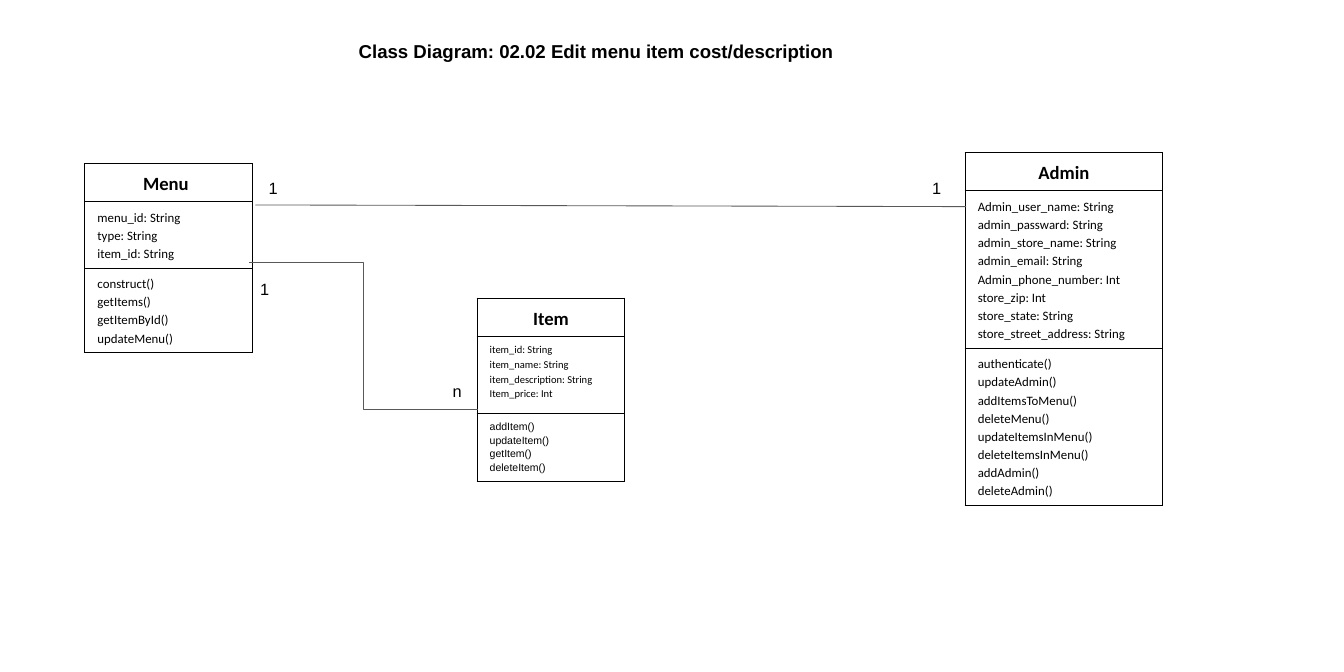
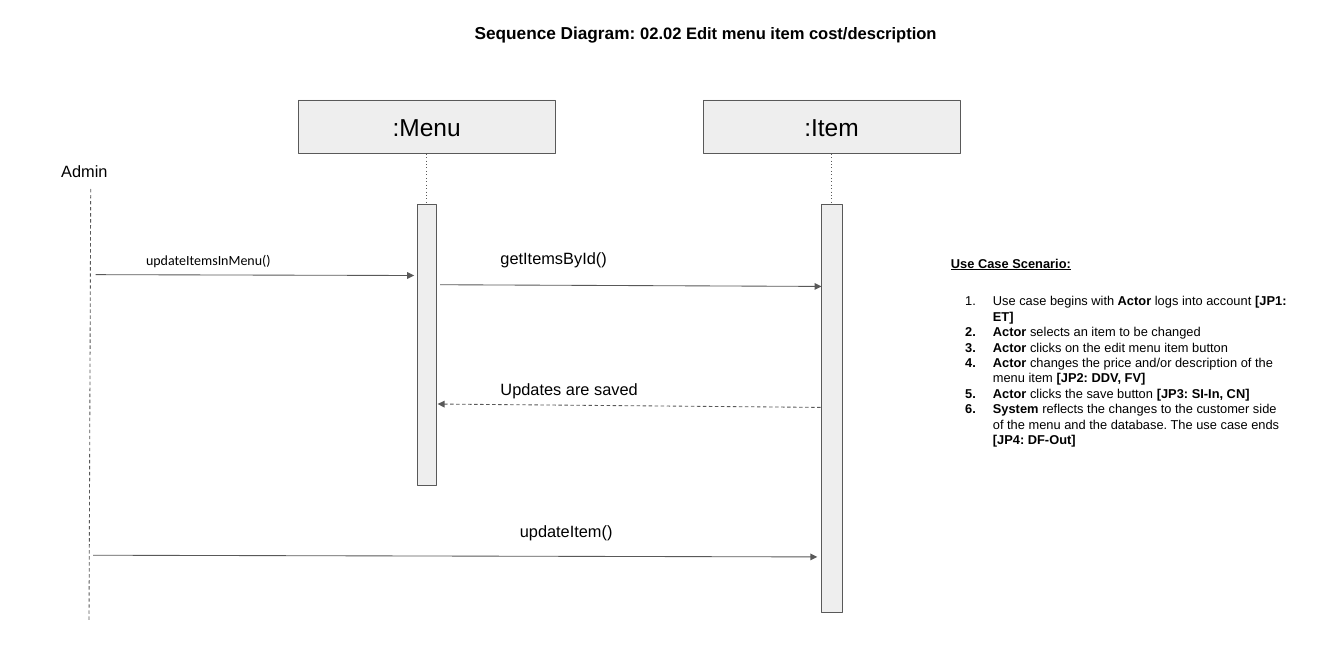
from lxml.etree import SubElement
from pptx import Presentation
from pptx.dml.color import RGBColor
from pptx.enum.shapes import MSO_CONNECTOR, MSO_SHAPE
from pptx.enum.text import MSO_ANCHOR, MSO_AUTO_SIZE, PP_ALIGN
from pptx.oxml.ns import qn
from pptx.util import Emu, Pt

PX = 9144  # EMU per px, 100 px to the inch


class Theme:
    ink = RGBColor(0x00, 0x00, 0x00)
    line = RGBColor(0x59, 0x59, 0x59)
    panel = RGBColor(0xEE, 0xEE, 0xEE)
    sans, table_font, accent_font = "Arial", "Calibri", "Comfortaa"
    title, lifeline, label, message, body, small = 16, 21, 14, 12, 11, 9
    hairline, border = Pt(0.75), Pt(1)


# ---- Content: class diagram ----
CLASS_TITLE = ["Class Diagram: 02.02 Edit menu item cost/description"]
BLANK_END = (" ", dict(font=Theme.accent_font, size=17, bold=False))
CLASSES = [
    dict(name=["Menu", BLANK_END], at=(101, 195), width=200, rows=(25, 44, 91),
         size=Theme.body, method_font=Theme.table_font,
         fields=["menu_id: String", "type: String", "item_id: String"],
         methods=["construct()", "getItems()", "getItemById()", "updateMenu()"]),
    dict(name=["Item"], at=(568, 355), width=176, rows=(38, 92, 81),
         size=Theme.small, method_font=Theme.sans,
         fields=["item_id: String", "item_name: String",
                 "item_description: String", "Item_price: Int"],
         methods=["addItem()", "updateItem()", "getItem()", "deleteItem()"]),
    dict(name=["Admin"], at=(1149, 182), width=235, rows=(37, 178, 120),
         size=Theme.body, method_font=Theme.table_font,
         fields=["Admin_user_name: String", "admin_passward: String",
                 "admin_store_name: String", "admin_email: String",
                 "Admin_phone_number: Int", "store_zip: Int",
                 "store_state: String", "store_street_address: String"],
         methods=["authenticate()", "updateAdmin()", "addItemsToMenu()",
                  "deleteMenu()", "updateItemsInMenu()", "deleteItemsInMenu()",
                  "addAdmin()", "deleteAdmin()"]),
]
ASSOCIATIONS = [  # start, end, kind
    ((304, 244), (1150, 246), MSO_CONNECTOR.STRAIGHT),
    ((297, 313), (569, 487), MSO_CONNECTOR.ELBOW),
]
MULTIPLICITIES = [("1", 310, 202), ("1", 1100, 202), ("1", 300, 322), ("n", 529, 444)]

# ---- Content: sequence diagram ----
SEQUENCE_TITLE = [("Sequence Diagram: ", dict(size=14.8)),
                  ("02.02 Edit menu item cost/description", dict(size=14.2))]
HEAD_TOP, HEAD_WIDTH, HEAD_HEIGHT, BAR_TOP = 119, 306, 64, 243
LIFELINES = [  # name, centre, bar width, bar height
    (":Menu", 508, 22, 335),
    (":Item", 990, 25, 486),
]
ACTOR_LINE = ((108, 225), (106, 738))
MESSAGES = [  # start, end, dash
    ((114, 327), (493, 328), None),
    ((524, 339), (978, 341), None),
    ((111, 661), (973, 663), None),
    ((977, 485), (521, 481), "dash"),
]
MESSAGE_LABELS = [  # text, left, top, width, format
    ("Admin", 63, 182, 91, {}),
    ("updateItemsInMenu()", 164, 286, 191,
     dict(font=Theme.table_font, size=Theme.message, spacing=1.15)),
    ("getItemsById()", 586, 285, 191, {}),
    ("updateItem()", 609, 611, 191, {}),
    ("Updates are saved", 586, 442, 205, {}),
]
BOLD = dict(bold=True)
SCENARIO_HEADING = [("Use Case Scenario:", dict(bold=True, underline=True))]
ACTOR = ("Actor", BOLD)
SCENARIO_STEPS = [
    ["Use case begins with", (" Actor", BOLD), " logs into account ",
     ("[JP1: ET]", BOLD)],
    [ACTOR, " selects an item to be changed"],
    [ACTOR, " clicks on the edit menu item button"],
    [ACTOR, " changes the price and/or description of the menu item ",
     ("[JP2: DDV, FV]", BOLD)],
    [ACTOR, " clicks the save button ", ("[JP3: SI-In, CN]", BOLD)],
    [("System", BOLD), " reflects the changes to the customer side of the menu "
     "and the database. The use case ends ", ("[JP4: DF-Out]", BOLD)],
]


# ---- Helpers ----
def px(*lengths):
    return [Emu(round(length * PX)) for length in lengths]


def write_text(frame, paragraphs, font=Theme.sans, size=Theme.label, bold=False,
               align=PP_ALIGN.LEFT, spacing=1.0):
    """Each paragraph is a list of runs: plain text or (text, overrides)."""
    for index, runs in enumerate(paragraphs):
        paragraph = frame.add_paragraph() if index else frame.paragraphs[0]
        paragraph.alignment = align
        paragraph.line_spacing = spacing
        paragraph.space_before = Pt(0)
        for item in runs:
            text, changes = (item, {}) if isinstance(item, str) else item
            look = dict(font=font, size=size, bold=bold, underline=False) | changes
            run = paragraph.add_run()
            run.text = text
            run.font.name = look["font"]
            run.font.size = Pt(look["size"])
            run.font.bold = look["bold"]
            run.font.underline = look["underline"]
            run.font.color.rgb = Theme.ink


def set_frame(frame, inset, anchor=MSO_ANCHOR.TOP):
    frame.word_wrap = True
    frame.auto_size = MSO_AUTO_SIZE.NONE
    frame.vertical_anchor = anchor
    (frame.margin_left, frame.margin_top,
     frame.margin_right, frame.margin_bottom) = px(*[inset] * 4)


def place(shape, left, top, width, height):
    shape.left, shape.top, shape.width, shape.height = px(left, top, width, height)


def add_titled_slide(presentation, layout, runs, box, inset):
    slide = presentation.slides.add_slide(presentation.slide_layouts[layout])
    title = slide.shapes.title
    place(title, *box)
    set_frame(title.text_frame, inset)
    write_text(title.text_frame, [runs], size=Theme.title, bold=True,
               spacing=0.9 if inset > 10 else 1.0)
    return slide


def add_label(slide, text, left, top, width, height=44, **look):
    label = slide.shapes.add_textbox(*px(left, top, width, height))
    set_frame(label.text_frame, 10)
    write_text(label.text_frame, [[text]], **look)


def add_line(slide, start, end, kind=MSO_CONNECTOR.STRAIGHT, dash=None, arrow=False):
    connector = slide.shapes.add_connector(kind, *px(*start, *end))
    connector.line.color.rgb = Theme.line
    connector.line.width = Theme.hairline
    properties = connector._element.spPr
    outline = properties.find(qn("a:ln"))
    if dash:
        SubElement(outline, qn("a:prstDash"), val=dash)
    if arrow:
        SubElement(outline, qn("a:tailEnd"), type="triangle")
    SubElement(properties, qn("a:effectLst"))
    return connector


def add_panel(slide, left, top, width, height):
    panel = slide.shapes.add_shape(MSO_SHAPE.RECTANGLE, *px(left, top, width, height))
    panel.shadow.inherit = False
    panel.fill.solid()
    panel.fill.fore_color.rgb = Theme.panel
    panel.line.color.rgb = Theme.line
    panel.line.width = Theme.hairline
    return panel


def style_cell(cell):
    cell.margin_left, cell.margin_right = px(15, 15)
    cell.margin_top, cell.margin_bottom = px(7, 7)
    properties = cell._tc.get_or_add_tcPr()
    for side in ("lnL", "lnR", "lnT", "lnB"):
        border = SubElement(properties, qn(f"a:{side}"), w=str(Theme.border))
        fill = SubElement(border, qn("a:solidFill"))
        SubElement(fill, qn("a:srgbClr"), val=str(Theme.ink))
    cell.fill.background()


def add_class(slide, box):
    heights = box["rows"]
    frame = slide.shapes.add_table(
        len(heights), 1, *px(*box["at"], box["width"], sum(heights)))
    table = frame.table
    table.first_row = table.horz_banding = False
    plain = dict(font=Theme.table_font, size=box["size"])
    parts = [
        ([box["name"]], dict(font=Theme.table_font, size=Theme.title, bold=True,
                             align=PP_ALIGN.CENTER)),
        ([[field] for field in box["fields"]], plain),
        ([[method] for method in box["methods"]], plain | {"font": box["method_font"]}),
    ]
    for index, (paragraphs, look) in enumerate(parts):
        table.rows[index].height = px(heights[index])[0]
        cell = table.cell(index, 0)
        style_cell(cell)
        write_text(cell.text_frame, paragraphs, spacing=1.15, **look)


def add_lifeline(slide, name, centre, bar_width, bar_height):
    head = add_panel(slide, centre - HEAD_WIDTH / 2, HEAD_TOP, HEAD_WIDTH, HEAD_HEIGHT)
    set_frame(head.text_frame, 15, MSO_ANCHOR.MIDDLE)
    write_text(head.text_frame, [[name]], size=Theme.lifeline, align=PP_ALIGN.CENTER)
    bar = add_panel(slide, centre - bar_width / 2, BAR_TOP, bar_width, bar_height)
    stem = add_line(slide, (centre, HEAD_TOP + HEAD_HEIGHT), (centre, BAR_TOP),
                    dash="dot")
    stem.begin_connect(head, 2)
    stem.end_connect(bar, 0)


def add_scenario(slide):
    body = slide.placeholders[1]
    place(body, 1122, 294, 423, 251)
    frame = body.text_frame
    set_frame(frame, 10)
    write_text(frame, [SCENARIO_HEADING, *SCENARIO_STEPS], size=Theme.body)
    heading, *steps = frame.paragraphs
    steps[0].space_before = Pt(19)
    for paragraph in frame.paragraphs:
        properties = paragraph._p.get_or_add_pPr()
        numbered = paragraph._p is not heading._p
        indent, hanging = px(50, -33) if numbered else (0, 0)
        properties.set("marL", str(int(indent)))
        properties.set("indent", str(int(hanging)))
        if numbered:
            SubElement(properties, qn("a:buAutoNum"), type="arabicPeriod")
        else:
            SubElement(properties, qn("a:buNone"))


# ---- Slides ----
def build_class_diagram(presentation):
    slide = add_titled_slide(presentation, 5, CLASS_TITLE, (417, 37, 639, 47), 10)
    for box in CLASSES:
        add_class(slide, box)
    for start, end, kind in ASSOCIATIONS:
        add_line(slide, start, end, kind)
    for text, left, top in MULTIPLICITIES:
        add_label(slide, text, left, top, 40)


def build_sequence_diagram(presentation):
    slide = add_titled_slide(presentation, 1, SEQUENCE_TITLE, (553, 17, 618, 52), 12)
    for lifeline in LIFELINES:
        add_lifeline(slide, *lifeline)
    add_line(slide, *ACTOR_LINE, dash="dash")
    for start, end, dash in MESSAGES:
        add_line(slide, start, end, dash=dash, arrow=True)
    for text, left, top, width, look in MESSAGE_LABELS:
        add_label(slide, text, left, top, width, **look)
    add_scenario(slide)


def main():
    presentation = Presentation()
    presentation.slide_width, presentation.slide_height = px(1600, 800)
    build_class_diagram(presentation)
    build_sequence_diagram(presentation)
    presentation.save("out.pptx")


if __name__ == "__main__":
    main()
